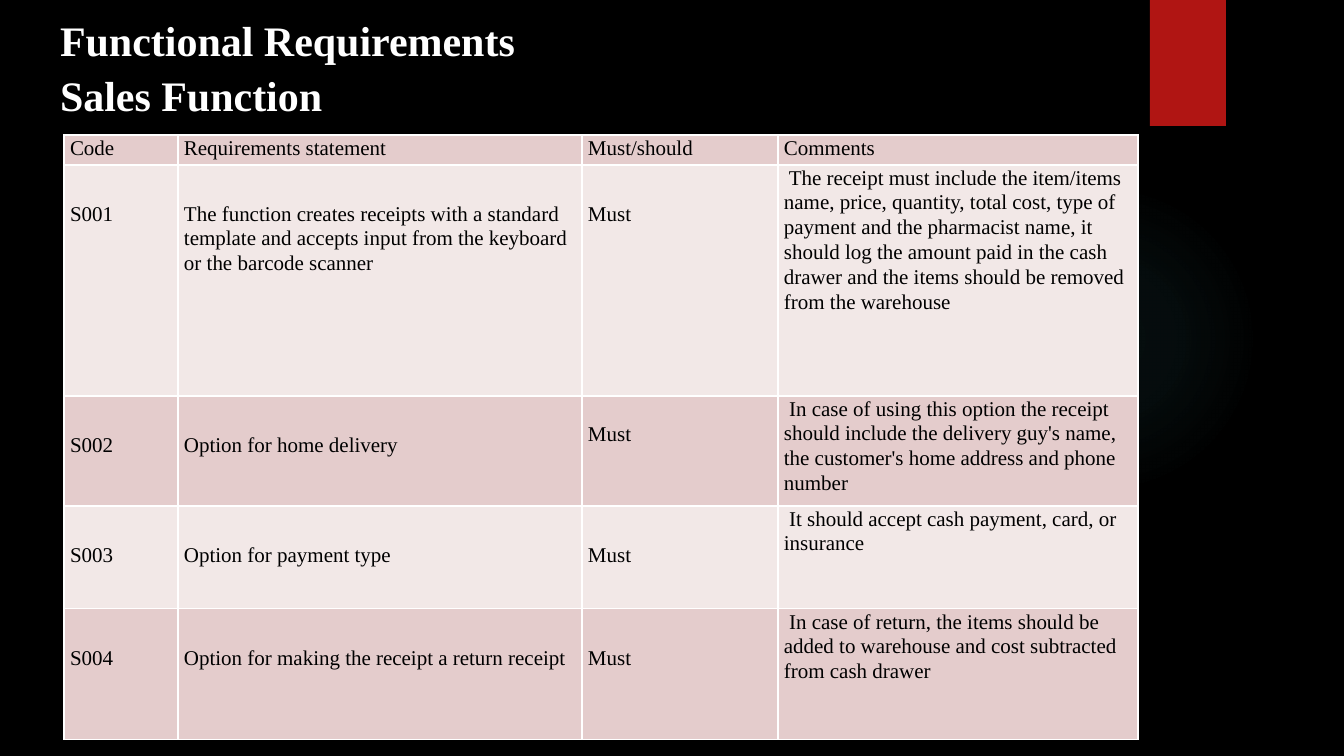
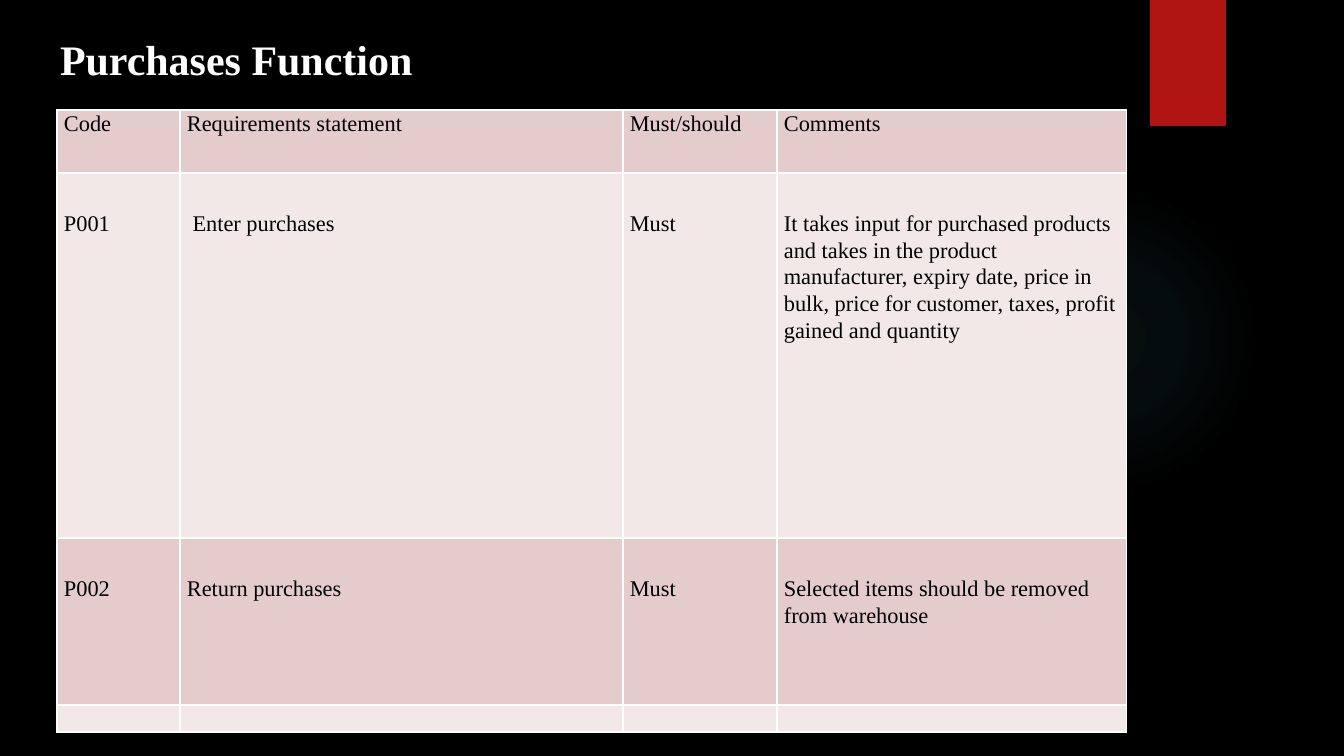
from pptx import Presentation
from pptx.dml.color import RGBColor
from pptx.enum.shapes import MSO_SHAPE
from pptx.enum.text import MSO_ANCHOR, MSO_AUTO_SIZE, PP_ALIGN
from pptx.oxml import parse_xml
from pptx.oxml.ns import nsdecls
from pptx.util import Emu, Pt

# Content
HEADER = ("Code", "Requirements statement", "Must/should", "Comments")
SLIDES = [
    {
        "title": ["Functional Requirements", "Sales Function"],
        "title_box": (0, 4, 716, 118),
        "table_at": (64, 135),
        "columns": (114, 404, 196, 360),
        "row_heights": (30, 231, 110, 103, 131),
        "size": 15,
        "side_margin": 6,
        "text_drops": (36, 36, 36, 0),
        "special_drops": {(2, 2): 25},
        "rows": [
            HEADER,
            ("S001",
             "The function creates receipts with a standard template and accepts "
             "input from the keyboard or the barcode scanner",
             "Must",
             " The receipt must include the item/items name, price, quantity, total "
             "cost, type of payment and the pharmacist name, it should log the amount "
             "paid in the cash drawer and the items should be removed from the warehouse"),
            ("S002", "Option for home delivery", "Must",
             " In case of using this option the receipt should include the delivery "
             "guy's name, the customer's home address and phone number"),
            ("S003", "Option for payment type", "Must",
             " It should accept cash payment, card, or insurance"),
            ("S004", "Option for making the receipt a return receipt", "Must",
             " In case of return, the items should be added to warehouse and cost "
             "subtracted from cash drawer"),
        ],
    },
    {
        "title": ["Purchases Function"],
        "title_box": (0, 23, 686, 62),
        "table_at": (57, 110),
        "columns": (123, 443, 154, 350),
        "row_heights": (63, 365, 167, 27),
        "size": 16,
        "side_margin": 7,
        "text_drops": (37, 37, 37, 37),
        "special_drops": {},
        "rows": [
            HEADER,
            ("P001", " Enter purchases", "Must",
             "It takes input for purchased products and takes in the product "
             "manufacturer, expiry date, price in bulk, price for customer, taxes, "
             "profit gained and quantity"),
            ("P002", "Return purchases", "Must",
             "Selected items should be removed from warehouse"),
            ("", "", "", ""),
        ],
    },
]

# Shared style
FONT = "Times New Roman"
BLACK, WHITE, RED, TEAL = "000000", "FFFFFF", "B01513", "50B9C1"
ROW_FILLS = ("E4CCCC", "F2E8E7")
GLOW_BOX = (949, 184, 310, 310)
GLOW_STOPS = ((0, 7), (36, 6), (69, 0))
RIBBON_BOX = (1150, 0, 76, 126)
TITLE_INDENT = 60


def px(length):
    return Emu(round(length * 914400 / 100.8))


def color(value):
    return RGBColor.from_string(value)


def style_paragraph(paragraph, size, font_color, spacing, bold=False):
    paragraph.alignment = PP_ALIGN.LEFT
    paragraph.line_spacing = spacing
    for run in paragraph.runs:
        run.font.name = FONT
        run.font.size = Pt(size)
        run.font.bold = bold
        run.font.color.rgb = color(font_color)


def add_layout_shape(layout, slide, kind, box):
    shape = slide.shapes.add_shape(kind, *map(px, box))
    shape.line.fill.background()
    shape.shadow.inherit = False
    layout.shapes._spTree.append(shape._element)
    return shape


def decorate_layout(layout, slide):
    glow = add_layout_shape(layout, slide, MSO_SHAPE.OVAL, GLOW_BOX)
    stops = "".join(
        f'<a:gs pos="{position * 1000}"><a:srgbClr val="{TEAL}">'
        f'<a:alpha val="{alpha * 1000}"/></a:srgbClr></a:gs>'
        for position, alpha in GLOW_STOPS)
    glow._element.spPr.insert(2, parse_xml(
        f'<a:gradFill {nsdecls("a")}><a:gsLst>{stops}</a:gsLst><a:path path="circle">'
        '<a:fillToRect l="50000" t="50000" r="50000" b="50000"/></a:path></a:gradFill>'))
    ribbon = add_layout_shape(layout, slide, MSO_SHAPE.RECTANGLE, RIBBON_BOX)
    ribbon.fill.solid()
    ribbon.fill.fore_color.rgb = color(RED)


def set_title(slide, lines, box):
    title = slide.shapes.title
    title.left, title.top, title.width, title.height = map(px, box)
    frame = title.text_frame
    frame.text = "\n".join(lines)
    frame.word_wrap = True
    frame.auto_size = MSO_AUTO_SIZE.NONE
    frame.vertical_anchor = MSO_ANCHOR.TOP
    frame.margin_left = px(TITLE_INDENT)
    frame.margin_top = frame.margin_bottom = px(5)
    for paragraph in frame.paragraphs:
        style_paragraph(paragraph, 30, WHITE, 1.1, bold=True)


def add_borders(cell):
    for index, side in enumerate(("lnL", "lnR", "lnT", "lnB")):
        cell._tc.get_or_add_tcPr().insert(index, parse_xml(
            f'<a:{side} {nsdecls("a")} w="12700"><a:solidFill>'
            f'<a:srgbClr val="{WHITE}"/></a:solidFill></a:{side}>'))


def add_requirements(slide, content):
    columns, heights = content["columns"], content["row_heights"]
    table = slide.shapes.add_table(
        len(heights), len(columns), *map(px, content["table_at"]),
        px(sum(columns)), px(sum(heights))).table
    table.first_row = table.horz_banding = False
    for column, width in zip(table.columns, columns):
        column.width = px(width)
    for row, height in zip(table.rows, heights):
        row.height = px(height)

    for r, texts in enumerate(content["rows"]):
        for c, text in enumerate(texts):
            cell = table.cell(r, c)
            drop = content["special_drops"].get((r, c), content["text_drops"][c])
            cell.margin_left = cell.margin_right = px(content["side_margin"])
            cell.margin_top = px(drop if r and text else 0)
            cell.margin_bottom = 0
            cell.fill.solid()
            cell.fill.fore_color.rgb = color(ROW_FILLS[r % 2])
            add_borders(cell)
            cell.text_frame.text = text
            paragraph = cell.text_frame.paragraphs[0]
            style_paragraph(paragraph, content["size"], BLACK, 1.07)
            if not text:
                # Keeps the empty row as low as one line of text
                paragraph._p.append(parse_xml(
                    f'<a:endParaRPr {nsdecls("a")} sz="{content["size"] * 100}">'
                    f'<a:latin typeface="{FONT}"/></a:endParaRPr>'))


# Build
presentation = Presentation()
presentation.slide_width, presentation.slide_height = px(1344), px(756)
background = presentation.slide_master.background.fill
background.solid()
background.fore_color.rgb = color(BLACK)
title_only = presentation.slide_layouts[5]

for number, content in enumerate(SLIDES):
    slide = presentation.slides.add_slide(title_only)
    if number == 0:
        decorate_layout(title_only, slide)
    set_title(slide, content["title"], content["title_box"])
    add_requirements(slide, content)

presentation.save("out.pptx")
